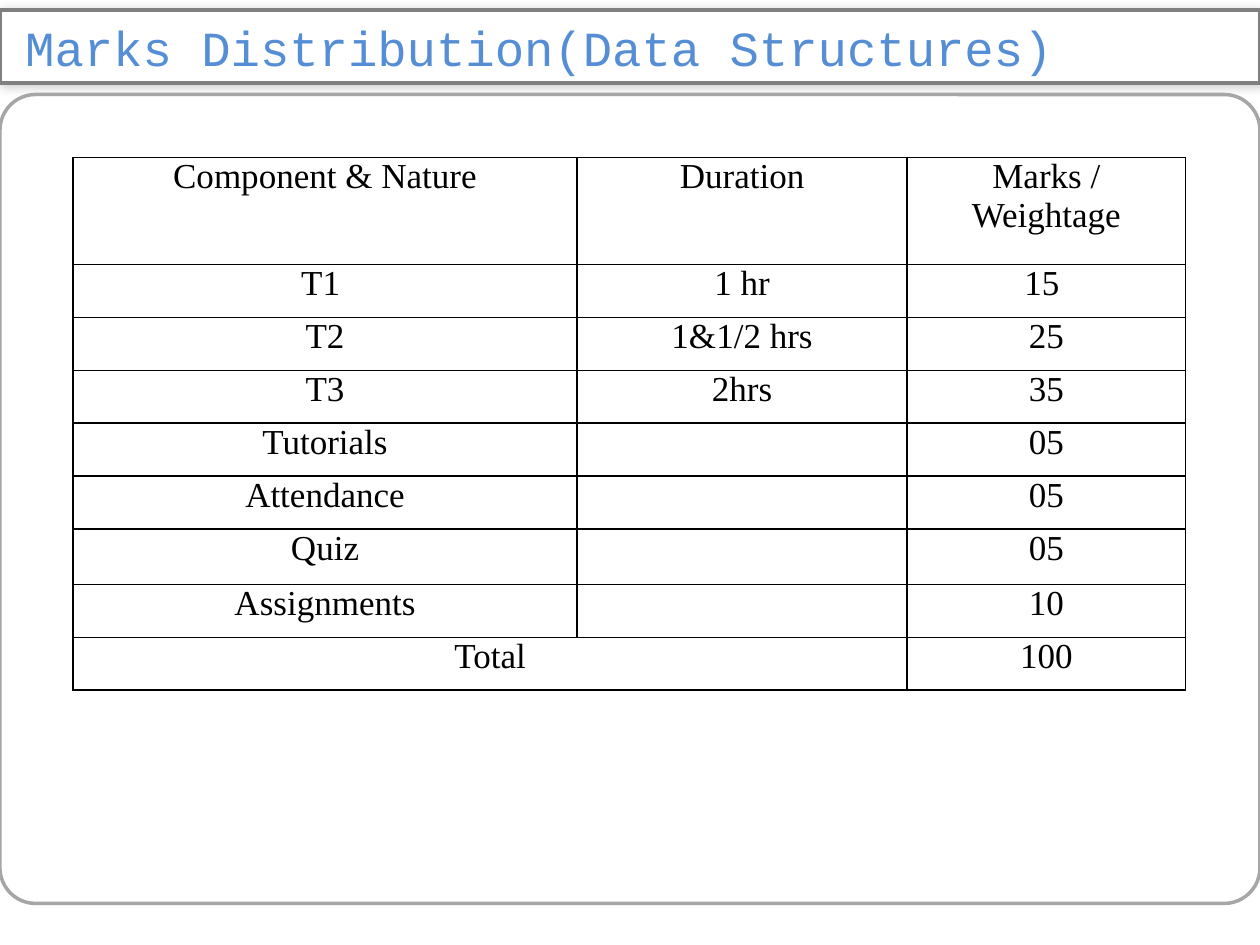
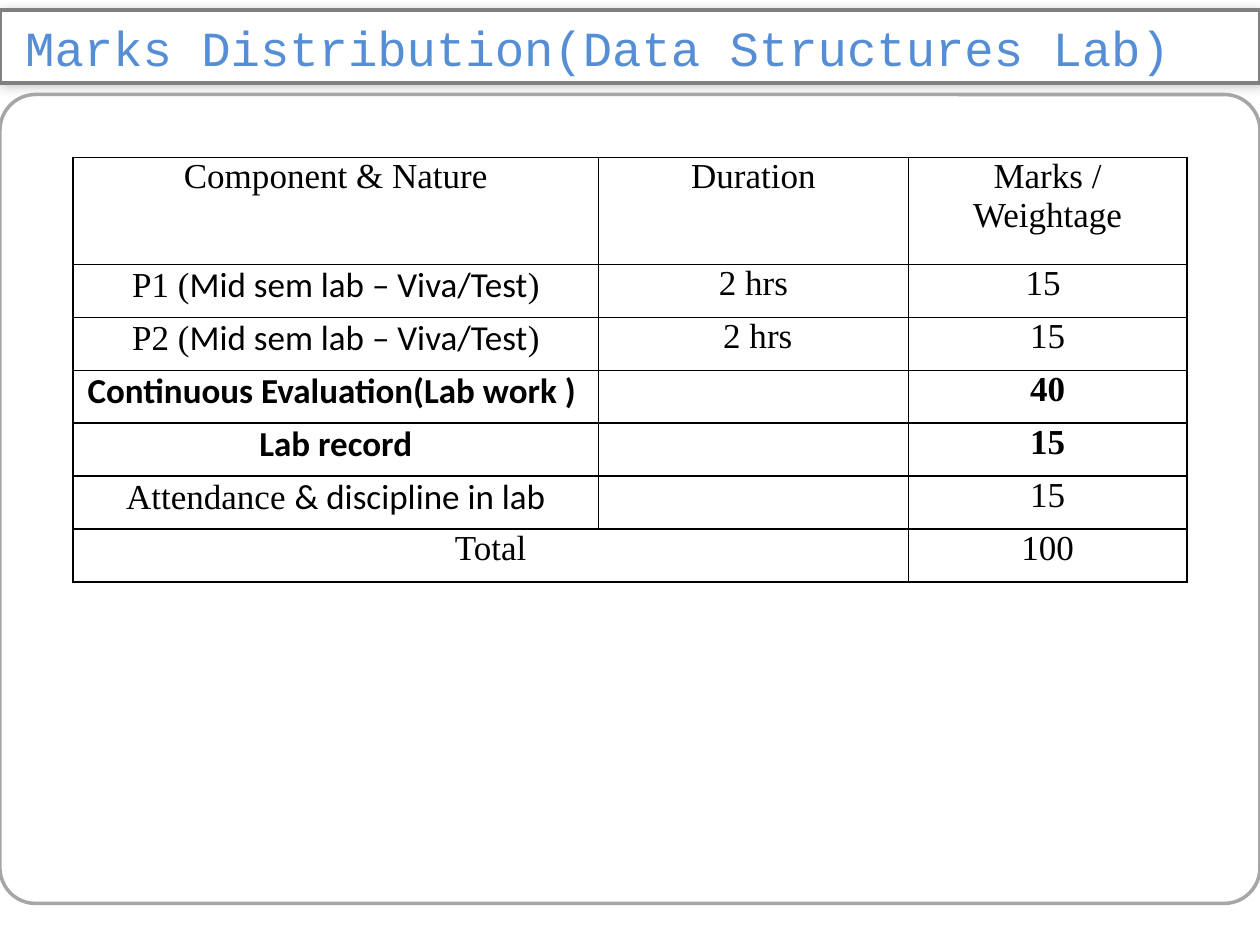
from lxml import etree
from pptx import Presentation
from pptx.dml.color import RGBColor
from pptx.enum.shapes import MSO_SHAPE
from pptx.enum.text import MSO_ANCHOR, MSO_AUTO_SIZE, PP_ALIGN
from pptx.oxml import parse_xml
from pptx.oxml.ns import nsdecls, qn
from pptx.util import Inches, Pt

ROUND = MSO_SHAPE.ROUNDED_RECTANGLE
MIDDLE = MSO_ANCHOR.MIDDLE
FIXED = MSO_AUTO_SIZE.NONE
LEFT, CENTER = PP_ALIGN.LEFT, PP_ALIGN.CENTER

WHITE = RGBColor(0xFF, 0xFF, 0xFF)
BLACK = RGBColor(0, 0, 0)
BLUE = RGBColor(0x55, 0x8E, 0xD5)
GREY = RGBColor(0x80, 0x80, 0x80)
SILVER = RGBColor(0xA6, 0xA6, 0xA6)

MONO, SERIF, SANS = "Courier New", "Times New Roman", "Calibri"

HEAD = ["Component & Nature", "Duration", "Marks / Weightage"]
TOTAL = ["Total", "", "100"]
HEAD_H, ROW_H, QUIZ_H = 0.85, 0.42, 0.44

THEORY = [
    ["T1 ", "1 hr", "15 "],
    ["T2", "1&1/2 hrs", "25"],
    ["T3", "2hrs", "35"],
    ["Tutorials", "", "05"],
    ["Attendance", "", "05"],
    ["Quiz", "", "05"],
    ["Assignments", "", "10"],
]


def test(code):
    """Runs that name one lab test."""
    return [(code + " (", SERIF, False),
            ("Mid sem lab – Viva/Test", SANS, False),
            (")", SERIF, False)]


LAB = [
    [test("P1"), "2 hrs", "15 "],
    [test("P2"), " 2 hrs", "15"],
    [[("Continuous Evaluation(Lab work ) ", SANS, True)], "",
     [("40", SERIF, True)]],
    [[("Lab record", SANS, True)], "", [("15", SERIF, True)]],
    [[("Attendance ", SERIF, False), ("& discipline in lab", SANS, False)],
     "", "15"],
]


def add_run(para, text, font, size, color, bold=False):
    run = para.add_run()
    run.text = text
    run.font.name = font
    run.font.size = Pt(size)
    run.font.bold = bold
    run.font.color.rgb = color


def set_line(shape, color, width):
    shape.line.color.rgb = color
    shape.line.width = Pt(width)


def add_panel(slide):
    panel = slide.shapes.add_shape(
        ROUND, 0, Inches(0.75), Inches(10), Inches(6.42))
    panel.adjustments[0] = 0.044
    panel.shadow.inherit = False
    panel.fill.background()
    set_line(panel, SILVER, 2)


def set_title(slide, text):
    """Shape the title placeholder as a rounded band with a soft shadow."""
    band = slide.shapes.title
    band.left, band.top = 0, Inches(0.08)
    band.width, band.height = Inches(10), Inches(0.58)
    props = band.element.spPr
    props.append(parse_xml(
        f'<a:prstGeom {nsdecls("a")} prst="roundRect"><a:avLst>'
        '<a:gd name="adj" fmla="val 40900"/></a:avLst></a:prstGeom>'))
    band.fill.solid()
    band.fill.fore_color.rgb = WHITE
    set_line(band, GREY, 2.5)
    props.append(parse_xml(
        f'<a:effectLst {nsdecls("a")}>'
        f'<a:outerShdw blurRad="{Pt(6)}" dist="{Pt(1)}" dir="2700000">'
        '<a:srgbClr val="000000"><a:alpha val="20000"/></a:srgbClr>'
        '</a:outerShdw></a:effectLst>'))

    frame = band.text_frame
    frame.word_wrap = True
    frame.auto_size = FIXED
    frame.vertical_anchor = MIDDLE
    frame.margin_left, frame.margin_right = Inches(0.2), Inches(0.1)
    frame.margin_top = frame.margin_bottom = 0
    para = frame.paragraphs[0]
    para.alignment = LEFT
    add_run(para, text, MONO, 28, BLUE)


def add_border(cell):
    props = cell._tc.get_or_add_tcPr()
    for side in ("lnL", "lnR", "lnT", "lnB"):
        line = etree.SubElement(props, qn("a:" + side), w=str(Pt(1)))
        fill = etree.SubElement(line, qn("a:solidFill"))
        etree.SubElement(fill, qn("a:srgbClr"), val=str(BLACK))


def fill_cell(cell, text):
    """Write a plain string, or a list of (text, font, bold) runs."""
    add_border(cell)
    cell.fill.background()
    cell.margin_left = cell.margin_right = Inches(0.07)
    cell.margin_top = cell.margin_bottom = 0
    para = cell.text_frame.paragraphs[0]
    para.alignment = CENTER
    runs = [(text, SERIF, False)] if isinstance(text, str) else text
    for words, font, bold in runs:
        if words:
            add_run(para, words, font, 20, BLACK, bold)


def add_marks(slide, body, widths):
    """Add the marks table, with its total row merged over two columns."""
    rows = [HEAD, *body, TOTAL]
    sizes = [HEAD_H] + [QUIZ_H if row[0] == "Quiz" else ROW_H
                        for row in rows[1:]]
    table = slide.shapes.add_table(
        len(rows), len(widths), Inches(0.58), Inches(1.25),
        Inches(sum(widths)), Inches(sum(sizes))).table
    table.first_row = table.horz_banding = False
    for col, width in zip(table.columns, widths):
        col.width = Inches(width)
    for line, size, row in zip(table.rows, sizes, rows):
        line.height = Inches(size)
        for cell, text in zip(line.cells, row):
            fill_cell(cell, text)
    last = len(rows) - 1
    table.cell(last, 0).merge(table.cell(last, 1))


def add_page(deck, title, body, widths):
    slide = deck.slides.add_slide(deck.slide_layouts[5])
    add_panel(slide)
    set_title(slide, title)
    add_marks(slide, body, widths)


def main():
    deck = Presentation()
    deck.slide_width, deck.slide_height = Inches(10), Inches(7.5)
    add_page(deck, "Marks Distribution(Data Structures)",
             THEORY, [4, 2.62, 2.21])
    add_page(deck, "Marks Distribution(Data Structures Lab)",
             LAB, [4.17, 2.46, 2.21])
    deck.save("out.pptx")


if __name__ == "__main__":
    main()
